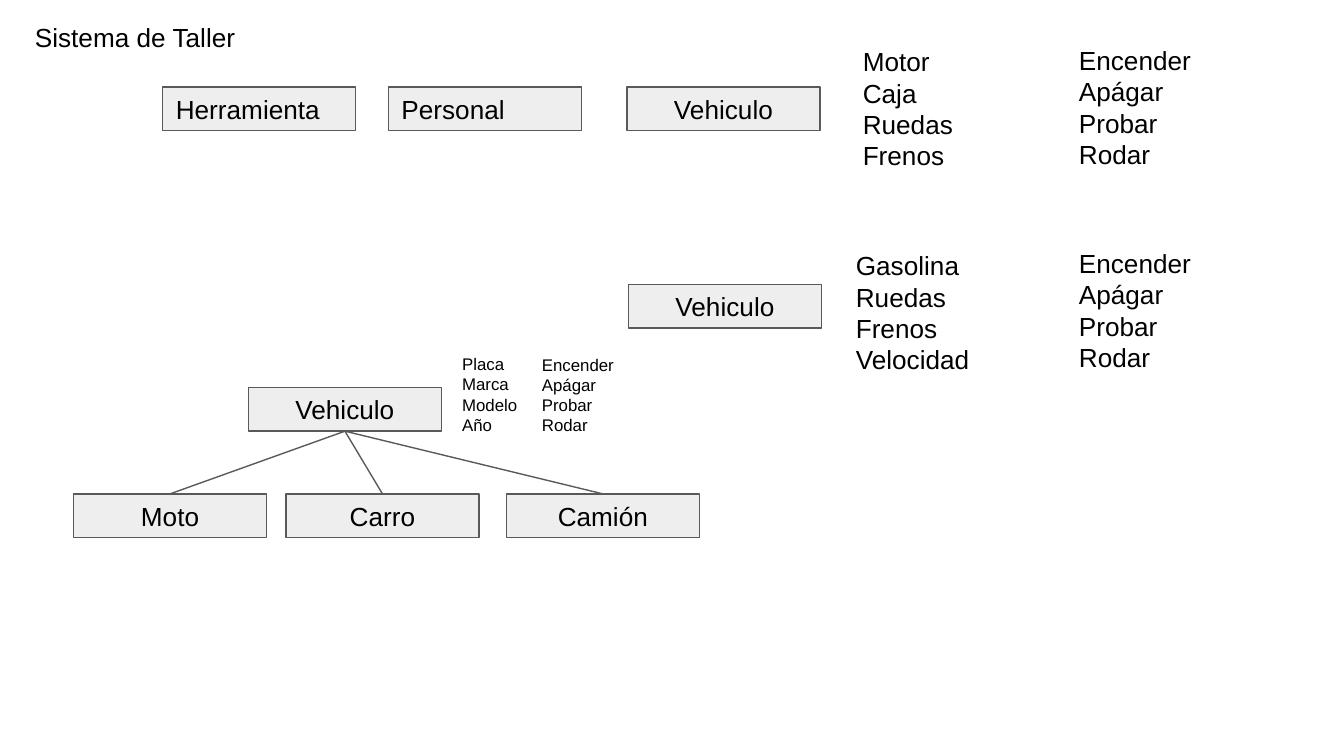
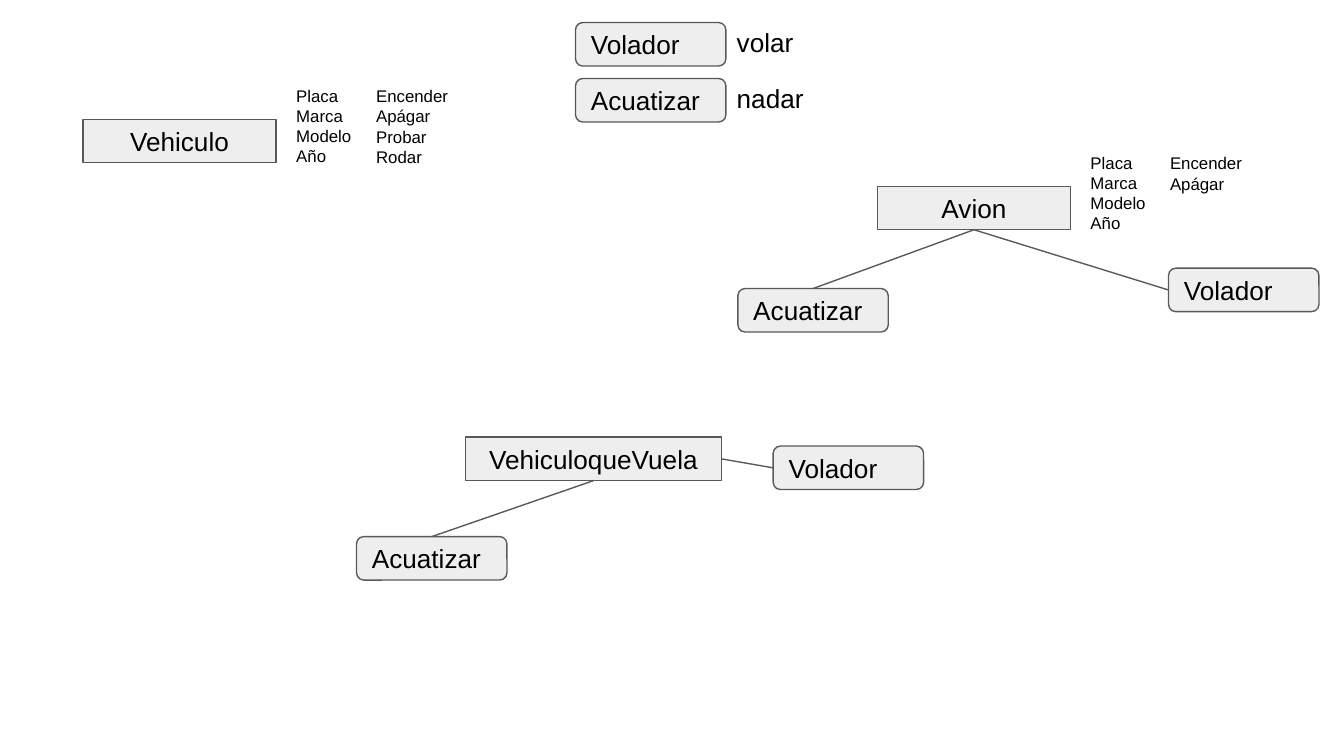
from lxml import etree
from pptx import Presentation
from pptx.dml.color import RGBColor
from pptx.enum.shapes import MSO_CONNECTOR, MSO_SHAPE
from pptx.enum.text import MSO_ANCHOR, MSO_AUTO_SIZE, PP_ALIGN
from pptx.oxml.ns import qn
from pptx.util import Pt

RECTANGLE = MSO_SHAPE.RECTANGLE
ROUNDED = MSO_SHAPE.ROUNDED_RECTANGLE
STRAIGHT = MSO_CONNECTOR.STRAIGHT
MIDDLE = MSO_ANCHOR.MIDDLE
GROW = MSO_AUTO_SIZE.SHAPE_TO_FIT_TEXT
LEFT, CENTER = PP_ALIGN.LEFT, PP_ALIGN.CENTER
TOP_SITE, LEFT_SITE, BOTTOM_SITE, RIGHT_SITE = range(4)

FONT = "Arial"
BLACK, GRAY, LIGHT = "000000", "595959", "EEEEEE"
LINE_WIDTH = Pt(0.75)
INSET = Pt(7.2)
BOX_WIDTH, WIDE_BOX_WIDTH, TAG_WIDTH, BOX_HEIGHT = 103.4, 137.3, 80.6, 23.3
NAME_WIDTH, ACTION_WIDTH = 79.9, 87.1
ACTIONS = ["Encender", "Apágar", "Probar", "Rodar"]
FIELDS = ["Placa", "Marca", "Modelo", "Año"]


def color(hex_string):
    return RGBColor.from_string(hex_string)


def write(shape, lines, size, alignment=LEFT):
    frame = shape.text_frame
    frame.text = "\n".join(lines)
    frame.word_wrap = True
    frame.margin_left = frame.margin_right = INSET
    frame.margin_top = frame.margin_bottom = INSET
    for paragraph in frame.paragraphs:
        paragraph.alignment = alignment
        for run in paragraph.runs:
            run.font.name = FONT
            run.font.size = Pt(size)
            run.font.color.rgb = color(BLACK)


presentation = Presentation()
presentation.slide_width = Pt(720)
presentation.slide_height = Pt(405)

workshop_boxes = [
    ("tools", "Herramienta", 87.1, 46.6, BOX_WIDTH, RECTANGLE, LEFT),
    ("staff", "Personal", 208, 46.6, BOX_WIDTH, RECTANGLE, LEFT),
    ("parts vehicle", "Vehiculo", 335.9, 46.6, BOX_WIDTH, RECTANGLE, CENTER),
    ("fuel vehicle", "Vehiculo", 336.7, 152.5, BOX_WIDTH, RECTANGLE, CENTER),
    ("vehicle", "Vehiculo", 133.1, 207.7, BOX_WIDTH, RECTANGLE, CENTER),
    ("motorbike", "Moto", 39.4, 264.6, BOX_WIDTH, RECTANGLE, CENTER),
    ("car", "Carro", 153.2, 264.6, BOX_WIDTH, RECTANGLE, CENTER),
    ("truck", "Camión", 271.3, 264.6, BOX_WIDTH, RECTANGLE, CENTER),
]
workshop_texts = [
    (["Sistema de Taller"], 11.6, 4.3, 496.1, 31.7, 14),
    (["Motor", "Caja", "Ruedas", "Frenos"], 455.1, 17.3, NAME_WIDTH, 82.1, 14),
    (["Gasolina", "Ruedas", "Frenos", "Velocidad"], 451.4, 126.5, NAME_WIDTH, 82.1, 14),
    (ACTIONS, 570.9, 16.6, ACTION_WIDTH, 82.1, 14),
    (ACTIONS, 570.9, 125.3, ACTION_WIDTH, 82.1, 14),
    (FIELDS, 240.5, 182.4, NAME_WIDTH, 58.3, 9),
    (ACTIONS, 283.2, 182.7, ACTION_WIDTH, 58.3, 9),
]
workshop_links = [
    ("vehicle", BOTTOM_SITE, "motorbike", TOP_SITE),
    ("vehicle", BOTTOM_SITE, "truck", TOP_SITE),
    ("vehicle", BOTTOM_SITE, "car", TOP_SITE),
]

ability_boxes = [
    ("vehicle", "Vehiculo", 44.5, 63.9, BOX_WIDTH, RECTANGLE, CENTER),
    ("plane", "Avion", 470.1, 99.8, BOX_WIDTH, RECTANGLE, CENTER),
    ("flying vehicle", "VehiculoqueVuela", 249.3, 234.2, WIDE_BOX_WIDTH, RECTANGLE, CENTER),
    ("flyer", "Volador", 308.3, 12.1, TAG_WIDTH, ROUNDED, LEFT),
    ("plane flyer", "Volador", 626, 143.7, TAG_WIDTH, ROUNDED, LEFT),
    ("vehicle flyer", "Volador", 414.2, 239, TAG_WIDTH, ROUNDED, LEFT),
    ("swimmer", "Acuatizar", 308.3, 42.1, TAG_WIDTH, ROUNDED, LEFT),
    ("plane swimmer", "Acuatizar", 395.3, 154.6, TAG_WIDTH, ROUNDED, LEFT),
    ("vehicle swimmer", "Acuatizar", 191, 287.5, TAG_WIDTH, ROUNDED, LEFT),
]
ability_texts = [
    (FIELDS, 151.6, 38.5, NAME_WIDTH, 58.3, 9),
    (ACTIONS, 194.4, 38.8, ACTION_WIDTH, 58.3, 9),
    (FIELDS, 577.1, 74.5, NAME_WIDTH, 58.3, 9),
    (ACTIONS[:2], 619.7, 74.8, ACTION_WIDTH, 47.5, 9),
    (["volar"], 387.6, 7.2, 278.6, 31.7, 14),
    (["nadar"], 387.6, 37, 278.6, 31.7, 14),
]
ability_links = [
    ("plane", BOTTOM_SITE, "plane flyer", LEFT_SITE),
    ("flying vehicle", RIGHT_SITE, "vehicle flyer", LEFT_SITE),
    ("plane", BOTTOM_SITE, "plane swimmer", TOP_SITE),
    ("flying vehicle", BOTTOM_SITE, "vehicle swimmer", TOP_SITE),
]

for boxes, texts, links in [
    (workshop_boxes, workshop_texts, workshop_links),
    (ability_boxes, ability_texts, ability_links),
]:
    slide = presentation.slides.add_slide(presentation.slide_layouts[6])
    slide.background.fill.solid()
    slide.background.fill.fore_color.rgb = color("FFFFFF")

    box_shapes = {}
    for key, label, left, top, width, kind, alignment in boxes:
        shape = slide.shapes.add_shape(kind, Pt(left), Pt(top), Pt(width), Pt(BOX_HEIGHT))
        shape.shadow.inherit = False
        shape.fill.solid()
        shape.fill.fore_color.rgb = color(LIGHT)
        shape.line.color.rgb = color(GRAY)
        shape.line.width = LINE_WIDTH
        write(shape, [label], 14, alignment)
        shape.text_frame.vertical_anchor = MIDDLE
        box_shapes[key] = shape

    for lines, left, top, width, height, size in texts:
        text_box = slide.shapes.add_textbox(Pt(left), Pt(top), Pt(width), Pt(height))
        write(text_box, lines, size)
        text_box.text_frame.auto_size = GROW

    for start, start_site, end, end_site in links:
        connector = slide.shapes.add_connector(STRAIGHT, 0, 0, 0, 0)
        connector.begin_connect(box_shapes[start], start_site)
        connector.end_connect(box_shapes[end], end_site)
        connector.line.color.rgb = color(GRAY)
        connector.line.width = LINE_WIDTH
        etree.SubElement(connector._element.spPr, qn("a:effectLst"))

presentation.save("out.pptx")
